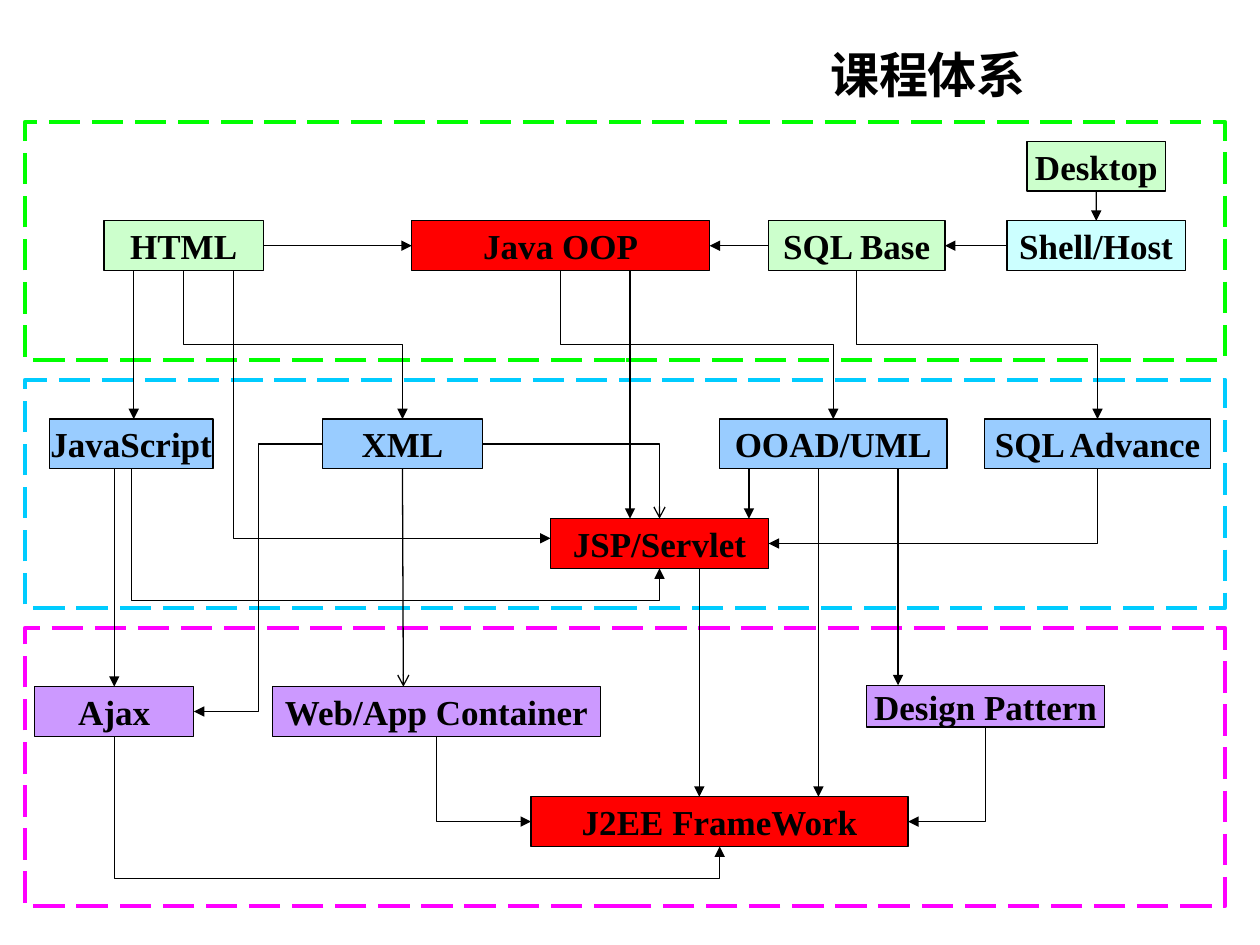
from pptx import Presentation
from pptx.dml.color import RGBColor as Rgb
from pptx.enum.dml import MSO_LINE as Dash
from pptx.enum.shapes import MSO_CONNECTOR as Conn, MSO_SHAPE as Kind
from pptx.enum.text import MSO_ANCHOR as Anchor, PP_ALIGN as Align
from pptx.oxml.ns import qn
from pptx.util import Pt
from lxml.etree import SubElement as Sub

HUES = {
    "black": "000000", "red": "FF0000", "mint": "CCFFCC", "ice": "CCFFFF",
    "blue": "99CCFF", "plum": "CC99FF", "lime": "00FF00", "sky": "00CCFF",
    "pink": "FF00FF",
}
SERIF, SANS = "Times New Roman", "Noto Sans CJK SC"
TITLE = "课程体系"
BANDS = [("lime", 69.7, 136), ("sky", 217, 130.3), ("pink", 358.8, 159)]
HIGH = 28.4
ROWS = [
    (80.8, HIGH, [("Desktop", 586.8, 79.4, "mint")]),
    (126.2, HIGH, [
        ("HTML", 59.5, 91, "mint"), ("Java OOP", 235.3, 170.2, "red"),
        ("SQL Base", 439, 101, "mint"), ("Shell/Host", 575.4, 102, "ice")]),
    (239.5, HIGH, [
        ("JavaScript", 28.2, 93.6, "blue"), ("XML", 184.3, 91.4, "blue"),
        ("OOAD/UML", 411, 130.2, "blue"), ("SQL Advance", 562.5, 129.4, "blue")]),
    (296.4, HIGH, [("JSP/Servlet", 314.6, 124.6, "red")]),
    (392.4, HIGH, [
        ("Ajax", 19.8, 91, "plum"), ("Web/App Container", 155.7, 187.4, "plum")]),
    (391.6, 23.8, [("Design Pattern", 495.1, 136.3, "plum")]),
    (455.3, HIGH, [("J2EE FrameWork", 303.4, 215.6, "red")]),
]
LINKS = [
    ("HTML", "b", 105, "XML", "t", None, {}),
    ("HTML", "b", 76.4, "JavaScript", "t", 76.4, {}),
    ("HTML", "b", 133.4, "JSP/Servlet", "l", 307.6, {}),
    ("HTML", "r", None, "Java OOP", "l", None, {}),
    ("SQL Base", "l", None, "Java OOP", "r", None, {}),
    ("Shell/Host", "l", None, "SQL Base", "r", None, {}),
    ("Desktop", "b", None, "Shell/Host", "t", None, {}),
    ("Java OOP", "b", 360, "JSP/Servlet", "t", 360, {}),
    ("Java OOP", "b", None, "OOAD/UML", "t", None, {}),
    ("SQL Base", "b", None, "SQL Advance", "t", None, {}),
    ("SQL Advance", "b", None, "JSP/Servlet", "r", None, {}),
    ("OOAD/UML", "b", 428, "JSP/Servlet", "t", 428, {}),
    ("OOAD/UML", "b", 467.7, "J2EE FrameWork", "t", 467.7, {}),
    ("OOAD/UML", "b", 513.2, "Design Pattern", "t", 513.2, {}),
    ("JavaScript", "b", None, "JSP/Servlet", "b", None, {"bend": 1.32}),
    ("JavaScript", "b", 65.3, "Ajax", "t", 65.3, {}),
    ("XML", "l", None, "Ajax", "r", None, {}),
    ("XML", "r", None, "JSP/Servlet", "t", None, {"head": "arrow"}),
    ("XML", "b", None, "Web/App Container", "t", 230.5, {"head": "arrow"}),
    ("JSP/Servlet", "b", 399.6, "J2EE FrameWork", "t", 399.6, {}),
    ("Web/App Container", "b", None, "J2EE FrameWork", "l", None, {}),
    ("Design Pattern", "b", None, "J2EE FrameWork", "r", None, {}),
    ("Ajax", "b", None, "J2EE FrameWork", "b", None, {"bend": 1.29}),
]


def hue(name):
    return Rgb.from_string(HUES[name])


def write(shape, text, size=20, font=SERIF, color="black", wrap=False):
    frame = shape.text_frame
    frame.word_wrap = wrap
    frame.vertical_anchor = Anchor.MIDDLE
    para = frame.paragraphs[0]
    para.alignment = Align.CENTER
    run = para.add_run()
    run.text = text
    face = run.font
    face.size, face.bold, face.name = Pt(size), True, font
    face.color.rgb = hue(color)
    Sub(face._element, qn("a:ea")).set("typeface", font)


def rect(slide, x, y, w, h, line="black", fill=None, width=0.75):
    shape = slide.shapes.add_shape(Kind.RECTANGLE, Pt(x), Pt(y), Pt(w), Pt(h))
    shape.shadow.inherit = False
    shape.line.color.rgb = hue(line)
    shape.line.width = Pt(width)
    if fill:
        shape.fill.solid()
        shape.fill.fore_color.rgb = hue(fill)
    else:
        shape.fill.background()
    return shape


def port(box, side, at):
    x, y, w, h = box
    if side in "tb":
        return (x + w / 2 if at is None else at), (y + h if side == "b" else y)
    return (x + w if side == "r" else x), (y + h / 2 if at is None else at)


def link(slide, start, end, down, turn, bend=0.5, head="triangle"):
    (x1, y1), (x2, y2) = start, end
    dx, dy = x2 - x1, y2 - y1
    bent = min(abs(dx), abs(dy)) > 2
    spin = 0
    if bent and down:
        mx, my = (x1 + x2) / 2, (y1 + y2) / 2
        spin = 270 if dx > 0 else 90
        half = dy / 2 if dx < 0 else -dy / 2
        x1, x2 = mx - half, mx + half
        y1, y2 = my - abs(dx) / 2, my + abs(dx) / 2
    line = slide.shapes.add_connector(
        Conn.ELBOW if bent else Conn.STRAIGHT, Pt(x1), Pt(y1), Pt(x2), Pt(y2))
    line.line.color.rgb = hue("black")
    line.line.width = Pt(0.75)
    props = line._element.spPr
    if spin:
        props.find(qn("a:xfrm")).set("rot", str(spin * 60000))
    if bent:
        geom = props.find(qn("a:prstGeom"))
        if turn:
            geom.set("prst", "bentConnector2")
        else:
            guide = Sub(geom.find(qn("a:avLst")), qn("a:gd"))
            guide.set("name", "adj1")
            guide.set("fmla", f"val {round(bend * 100000)}")
    Sub(props.find(qn("a:ln")), qn("a:tailEnd")).set("type", head)
    Sub(props, qn("a:effectLst"))


def main():
    deck = Presentation()
    deck.slide_width, deck.slide_height = Pt(720), Pt(540)
    slide = deck.slides.add_slide(deck.slide_layouts[5])
    title = slide.shapes.title
    title.left, title.top, title.width, title.height = map(Pt, (345.6, 22.3, 369.4, 39.6))
    write(title, TITLE, size=28, font=SANS, wrap=True)

    for color, y, h in BANDS:
        band = rect(slide, 14.2, y, 686, h, line=color, width=2.25)
        band.line.dash_style = Dash.LONG_DASH

    boxes = {}
    for y, h, cells in ROWS:
        for name, x, w, fill in cells:
            boxes[name] = x, y, w, h
            write(rect(slide, x, y, w, h, fill=fill), name)

    for src, out, at, dst, into, to, look in LINKS:
        start, end = port(boxes[src], out, at), port(boxes[dst], into, to)
        down = out == "b"
        link(slide, start, end, down, down != (into in "tb"), **look)

    deck.save("out.pptx")


if __name__ == "__main__":
    main()
